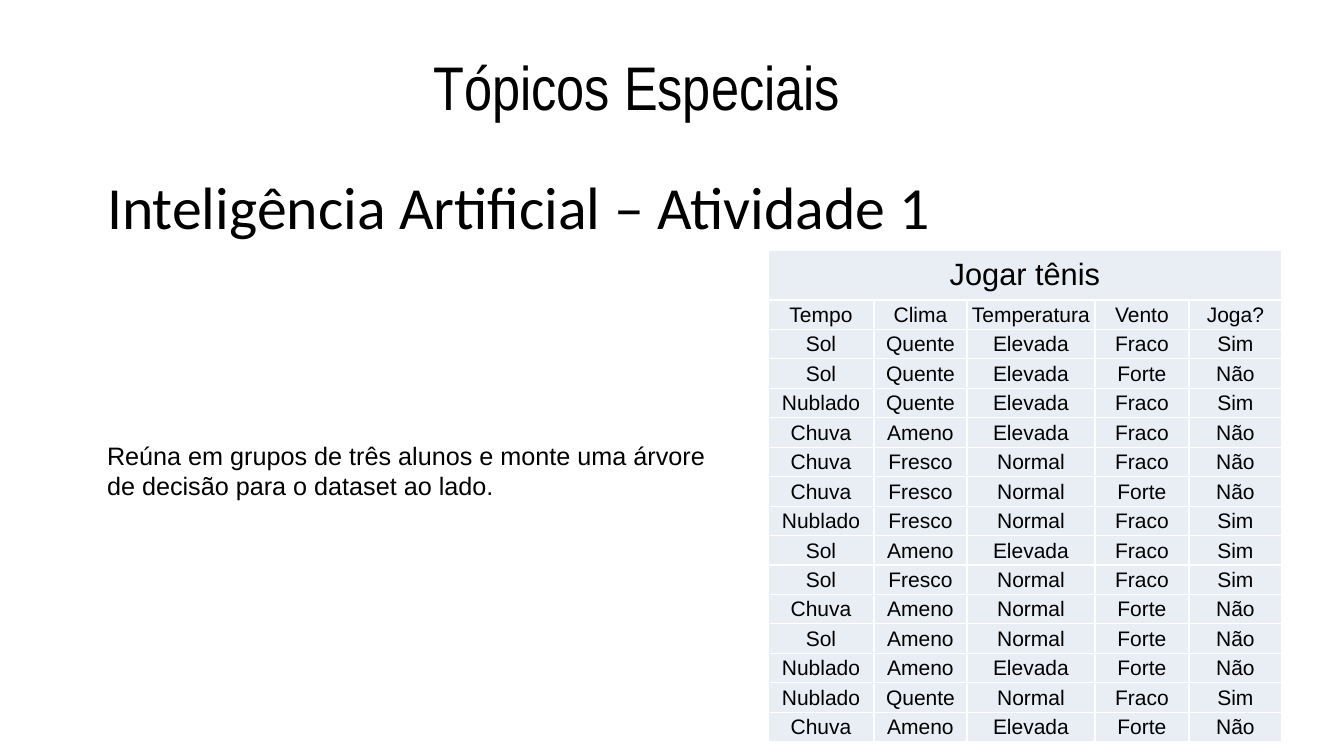
from lxml import etree
from pptx import Presentation
from pptx import util as u
from pptx.dml.color import RGBColor
from pptx.enum import text
from pptx.oxml.ns import qn

# Content
TITLE = ["Tópicos Especiais"]
HEADING = ["Inteligência Artificial – Atividade 1"]
TASK = ["Reúna em grupos de três alunos e monte uma árvore",
        "de decisão para o dataset ao lado."]
TABLE_TITLE = "Jogar tênis"
ROWS = [
    ("Tempo", "Clima", "Temperatura", "Vento", "Joga?"),
    ("Sol", "Quente", "Elevada", "Fraco", "Sim"),
    ("Sol", "Quente", "Elevada", "Forte", "Não"),
    ("Nublado", "Quente", "Elevada", "Fraco", "Sim"),
    ("Chuva", "Ameno", "Elevada", "Fraco", "Não"),
    ("Chuva", "Fresco", "Normal", "Fraco", "Não"),
    ("Chuva", "Fresco", "Normal", "Forte", "Não"),
    ("Nublado", "Fresco", "Normal", "Fraco", "Sim"),
    ("Sol", "Ameno", "Elevada", "Fraco", "Sim"),
    ("Sol", "Fresco", "Normal", "Fraco", "Sim"),
    ("Chuva", "Ameno", "Normal", "Forte", "Não"),
    ("Sol", "Ameno", "Normal", "Forte", "Não"),
    ("Nublado", "Ameno", "Elevada", "Forte", "Não"),
    ("Nublado", "Quente", "Normal", "Fraco", "Sim"),
    ("Chuva", "Ameno", "Elevada", "Forte", "Não"),
]
COLORS = {"text": "000000", "cell": "E9EDF4", "border": "FFFFFF"}

# Layout in px
SLIDE = (1344, 756)
TABLE_LEFT, TABLE_TOP = 768, 250
COLUMN_WIDTHS = (106, 93, 128, 94, 93)
TITLE_ROW, BODY_HEIGHT = 50, 442
CENTER, LEFT = text.PP_ALIGN.CENTER, text.PP_ALIGN.LEFT
MIDDLE, TOP = text.MSO_ANCHOR.MIDDLE, text.MSO_ANCHOR.TOP


def px(length):
    return u.Emu(round(length * 914400 / 100.8))


def write(frame, lines, font, size, align):
    for number, line in enumerate(lines):
        paragraph = frame.add_paragraph() if number else frame.paragraphs[0]
        paragraph.text = line
        paragraph.alignment = align
        paragraph.font.name = font
        paragraph.font.size = u.Pt(size)
        paragraph.font.color.rgb = RGBColor.from_string(COLORS["text"])


def add_text(slide, box, lines, font, size, align, anchor):
    frame = slide.shapes.add_textbox(*map(px, box)).text_frame
    frame.word_wrap = True
    frame.vertical_anchor = anchor
    frame.margin_left = frame.margin_right = px(13)
    frame.margin_top = frame.margin_bottom = px(7)
    write(frame, lines, font, size, align)


def fill_cell(cell, label, size, margins):
    write(cell.text_frame, [label], "Arial", size, CENTER)
    cell.vertical_anchor = MIDDLE
    cell.margin_left = cell.margin_right = px(margins[0])
    cell.margin_top, cell.margin_bottom = px(margins[1]), px(margins[2])


def style_cell(cell):
    cell.fill.solid()
    cell.fill.fore_color.rgb = RGBColor.from_string(COLORS["cell"])
    properties = cell._tc.get_or_add_tcPr()
    for position, side in enumerate(("lnL", "lnR", "lnT", "lnB")):
        line = etree.Element(qn(f"a:{side}"), w=str(u.Pt(1)))
        fill = etree.SubElement(line, qn("a:solidFill"))
        etree.SubElement(fill, qn("a:srgbClr"), val=COLORS["border"])
        properties.insert(position, line)


def add_dataset(slide):
    frame = slide.shapes.add_table(
        len(ROWS) + 1, len(COLUMN_WIDTHS), px(TABLE_LEFT), px(TABLE_TOP),
        px(sum(COLUMN_WIDTHS)), px(TITLE_ROW + BODY_HEIGHT))
    table = frame.table
    table.first_row = table.horz_banding = False
    for column, width in zip(table.columns, COLUMN_WIDTHS):
        column.width = px(width)
    for number, row in enumerate(table.rows):
        row.height = px(BODY_HEIGHT / len(ROWS) if number else TITLE_ROW)
        for cell in row.cells:
            style_cell(cell)
    table.cell(0, 0).merge(table.cell(0, len(COLUMN_WIDTHS) - 1))
    fill_cell(table.cell(0, 0), TABLE_TITLE, 22, (9, 5, 5))
    for number, labels in enumerate(ROWS, 1):
        for cell, label in zip(table.rows[number].cells, labels):
            fill_cell(cell, label, 15, (1, 1, 0))


def main():
    presentation = Presentation()
    presentation.slide_width, presentation.slide_height = map(px, SLIDE)
    slide = presentation.slides.add_slide(presentation.slide_layouts[6])

    # Title, heading and task
    add_text(slide, (347, 44, 580, 83), TITLE, "Arial Narrow", 44, CENTER, MIDDLE)
    add_text(slide, (94, 433, 1122, 105), TASK, "Arial", 18, LEFT, TOP)
    add_text(slide, (94, 163, 1122, 86), HEADING, "Calibri", 42.7, LEFT, TOP)

    # Dataset table
    add_dataset(slide)
    presentation.save("out.pptx")


if __name__ == "__main__":
    main()
